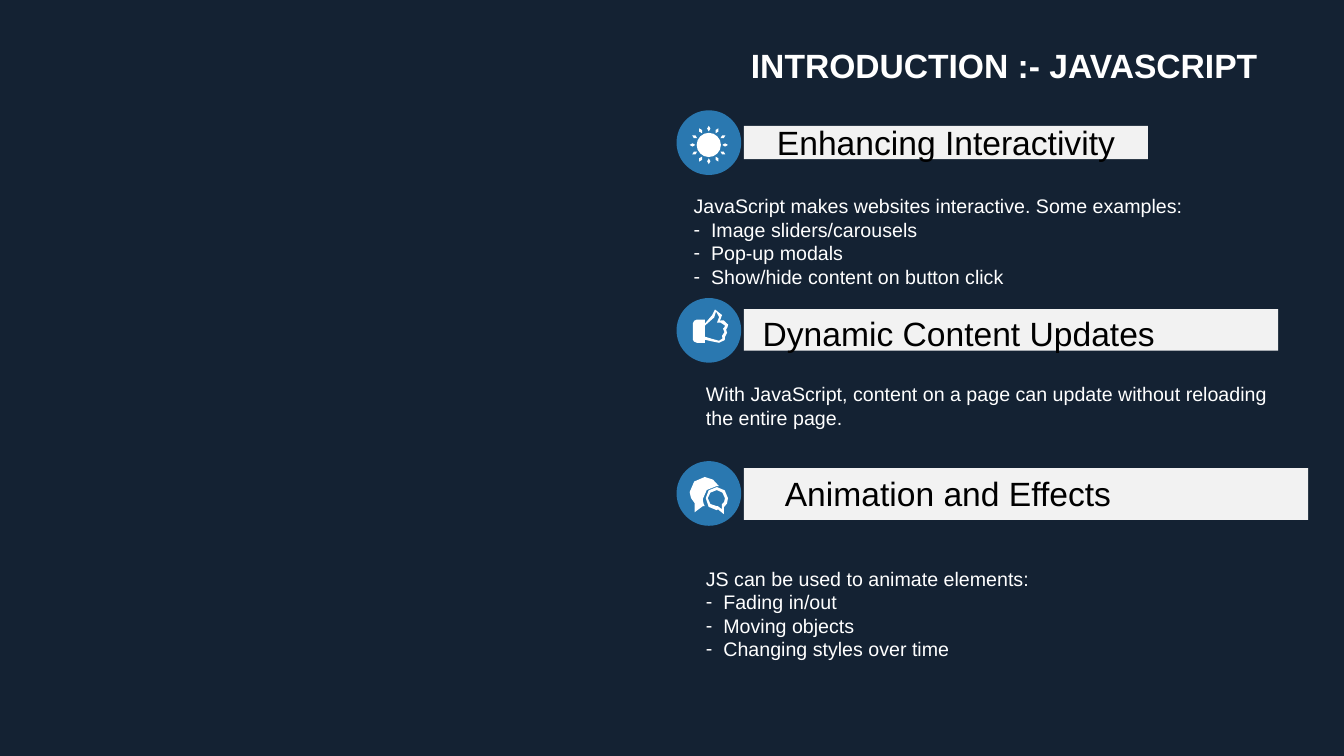
import math

import pptx
import pptx.dml.color
import pptx.enum.shapes
import pptx.enum.text
import pptx.util
from pptx.oxml import parse_xml
from pptx.oxml.ns import nsdecls

Cm = pptx.util.Cm
Pt = pptx.util.Pt
MSO_SHAPE = pptx.enum.shapes.MSO_SHAPE
PP_ALIGN = pptx.enum.text.PP_ALIGN
MSO_ANCHOR = pptx.enum.text.MSO_ANCHOR

NAVY = pptx.dml.color.RGBColor(0x14, 0x22, 0x33)
BLUE = pptx.dml.color.RGBColor(0x2A, 0x78, 0xB0)
LIGHT_GREY = pptx.dml.color.RGBColor(0xF2, 0xF2, 0xF2)
WHITE = pptx.dml.color.RGBColor(0xFF, 0xFF, 0xFF)
BLACK = pptx.dml.color.RGBColor(0x00, 0x00, 0x00)

FONT = "Arial"
GRID = Cm(2.54) / 100
DASH_INDENT = Cm(0.44)
CIRCLE_LEFT, CIRCLE_SIZE = 17.05, 1.63
BAR_LEFT = 18.75

THUMB_OUTLINES = [
    [(33, 20), (35, 20, 34, 26, 32, 27), (32, 28, 33, 33, 26, 33),
     (19, 33, 17, 30, 12, 30), (12, 33), (4, 33), (2, 33, 0, 31, 0, 30),
     (0, 14), (0, 12, 2, 10, 4, 10), (12, 10), (12, 14),
     (20, 10, 20, 0, 22, 0), (34, 0, 27, 11, 27, 11),
     (27, 11, 34, 9, 35, 15), (34, 17, 35, 18, 33, 20)],
    [(24, 13), (24, 13, 30, 2, 23, 2), (22, 2, 23, 13, 12, 16), (12, 27),
     (16, 27, 21, 31, 26, 31), (30, 31, 30, 27, 29, 26),
     (32, 25, 32, 20, 30, 19), (31, 18, 32, 17, 32, 16),
     (31, 12, 24, 13, 24, 13)],
]
BUBBLE_OUTLINES = [
    [(34, 30), (34, 37), (28, 32), (27, 33),
     (20, 33, 16, 28, 16, 21), (16, 15, 20, 10, 27, 10),
     (33, 10, 38, 15, 38, 21), (38, 25, 37, 28, 34, 30)],
    [(27, 13), (22, 13, 18, 17, 18, 21), (18, 26, 22, 29, 27, 29), (28, 29),
     (32, 32), (32, 27), (34, 26, 35, 24, 35, 21), (35, 17, 31, 13, 27, 13)],
    [(13, 22), (13, 25, 14, 27, 15, 29), (13, 29), (5, 35),
     (5, 26), (2, 23, 0, 19, 0, 15), (0, 7, 7, 0, 15, 0),
     (21, 0, 26, 4, 29, 9), (27, 9), (19, 9, 13, 15, 13, 22)],
]


def trace_outline(outline, steps=2):
    points = [outline[0]]
    for segment in outline[1:]:
        if len(segment) == 2:
            points.append(segment)
            continue
        controls = [points[-1], segment[:2], segment[2:4], segment[4:]]
        for step in range(1, steps + 1):
            t = step / steps
            weights = [math.comb(3, k) * t**k * (1 - t) ** (3 - k) for k in range(4)]
            points.append(tuple(
                sum(weight * control[axis] for weight, control in zip(weights, controls))
                for axis in (0, 1)))
    return points[:-1] if points[-1] == points[0] else points


def trace_ellipse(distance, angle, radial, across, steps):
    points = []
    for step in range(steps):
        turn = 2 * math.pi * step / steps
        along = distance + radial * math.cos(turn)
        aside = across * math.sin(turn)
        points.append((19 + along * math.cos(angle) - aside * math.sin(angle),
                       19 + along * math.sin(angle) + aside * math.cos(angle)))
    return points


def sun_contours():
    rays = [trace_ellipse(16.2, math.radians(30 * k), 2.8, 1.6, 4) for k in range(12)]
    return [trace_ellipse(0, 0, 12, 12, 16)] + rays


def paint(shape, color):
    shape.shadow.inherit = False
    shape.fill.solid()
    shape.fill.fore_color.rgb = color
    shape.line.fill.background()


def add_plain_shape(slide, kind, left, top, width, height, color):
    shape = slide.shapes.add_shape(kind, Cm(left), Cm(top), Cm(width), Cm(height))
    paint(shape, color)
    return shape


def add_icon(slide, left, top, contours):
    scaled = [[(x * GRID, y * GRID) for x, y in contour] for contour in contours]
    builder = slide.shapes.build_freeform(*scaled[0][0], scale=1.0)
    for index, contour in enumerate(scaled):
        if index:
            builder.move_to(*contour[0])
        builder.add_line_segments(contour[1:], close=True)
    paint(builder.convert_to_shape(Cm(left), Cm(top)), WHITE)


def add_run(paragraph, text, size, color, bold=False):
    run = paragraph.add_run()
    run.text = text
    run.font.name = FONT
    run.font.size = Pt(size)
    run.font.bold = bold
    run.font.color.rgb = color


def add_dash(paragraph):
    properties = paragraph._p.get_or_add_pPr()
    properties.set("marL", str(DASH_INDENT))
    properties.set("indent", str(-DASH_INDENT))
    properties.append(parse_xml(f'<a:buFont {nsdecls("a")} typeface="{FONT}"/>'))
    properties.append(parse_xml(f'<a:buChar {nsdecls("a")} char="-"/>'))


def add_text(slide, left, top, width, height, text, size, color, items=()):
    box = slide.shapes.add_textbox(Cm(left), Cm(top), Cm(width), Cm(height))
    frame = box.text_frame
    frame.word_wrap = True
    add_run(frame.paragraphs[0], text, size, color)
    for item in items:
        paragraph = frame.add_paragraph()
        add_dash(paragraph)
        add_run(paragraph, item, size, color)


def add_bar(slide, top, width, height):
    return add_plain_shape(slide, MSO_SHAPE.RECTANGLE, BAR_LEFT, top, width, height, LIGHT_GREY)


def add_circle(slide, top):
    add_plain_shape(slide, MSO_SHAPE.OVAL, CIRCLE_LEFT, top, CIRCLE_SIZE, CIRCLE_SIZE, BLUE)


def format_title(slide, text):
    title = slide.shapes.title
    title.left, title.top = Cm(18.67), Cm(0.81)
    title.width, title.height = Cm(15.19), Cm(1.47)
    frame = title.text_frame
    frame.word_wrap = True
    frame.auto_size = pptx.enum.text.MSO_AUTO_SIZE.NONE
    frame.vertical_anchor = MSO_ANCHOR.TOP
    paragraph = frame.paragraphs[0]
    paragraph.alignment = PP_ALIGN.LEFT
    paragraph.line_spacing = 1.2
    add_run(paragraph, text, 24, WHITE, bold=True)


def main():
    presentation = pptx.Presentation()
    presentation.slide_width, presentation.slide_height = Cm(33.87), Cm(19.05)
    slide = presentation.slides.add_slide(presentation.slide_layouts[5])
    slide.background.fill.solid()
    slide.background.fill.fore_color.rgb = NAVY
    format_title(slide, "INTRODUCTION :- JAVASCRIPT")

    heading_bar = add_bar(slide, 3.17, 10.18, 0.84)
    heading_bar.text_frame.word_wrap = True
    heading_bar.text_frame.vertical_anchor = MSO_ANCHOR.MIDDLE
    heading = heading_bar.text_frame.paragraphs[0]
    heading.alignment = PP_ALIGN.CENTER
    add_run(heading, "Enhancing Interactivity", 24, BLACK)
    add_circle(slide, 2.78)
    add_icon(slide, 17.38, 3.17, sun_contours())
    add_text(slide, 17.23, 4.77, 14.78, 3.07,
             "JavaScript makes websites interactive. Some examples:", 14, WHITE,
             ["Image sliders/carousels", "Pop-up modals", "Show/hide content on button click"])

    add_bar(slide, 7.79, 13.46, 1.05)
    add_circle(slide, 7.51)
    add_icon(slide, 17.46, 7.8, [trace_outline(outline) for outline in THUMB_OUTLINES])
    add_text(slide, 18.97, 7.77, 12.73, 1.7, "Dynamic Content Updates", 24, BLACK)
    add_text(slide, 17.54, 9.5, 14.66, 1.22,
             "With JavaScript, content on a page can update without reloading the entire page.",
             14, WHITE)

    add_bar(slide, 11.8, 14.22, 1.3)
    add_circle(slide, 11.62)
    add_icon(slide, 17.38, 12.02, [trace_outline(outline) for outline in BUBBLE_OUTLINES])
    add_text(slide, 19.53, 11.79, 12.98, 1.27, "Animation and Effects", 24, BLACK)
    add_text(slide, 17.54, 14.15, 14.78, 2.64, "JS can be used to animate elements:", 14, WHITE,
             ["Fading in/out", "Moving objects", "Changing styles over time"])

    presentation.save("out.pptx")


if __name__ == "__main__":
    main()
